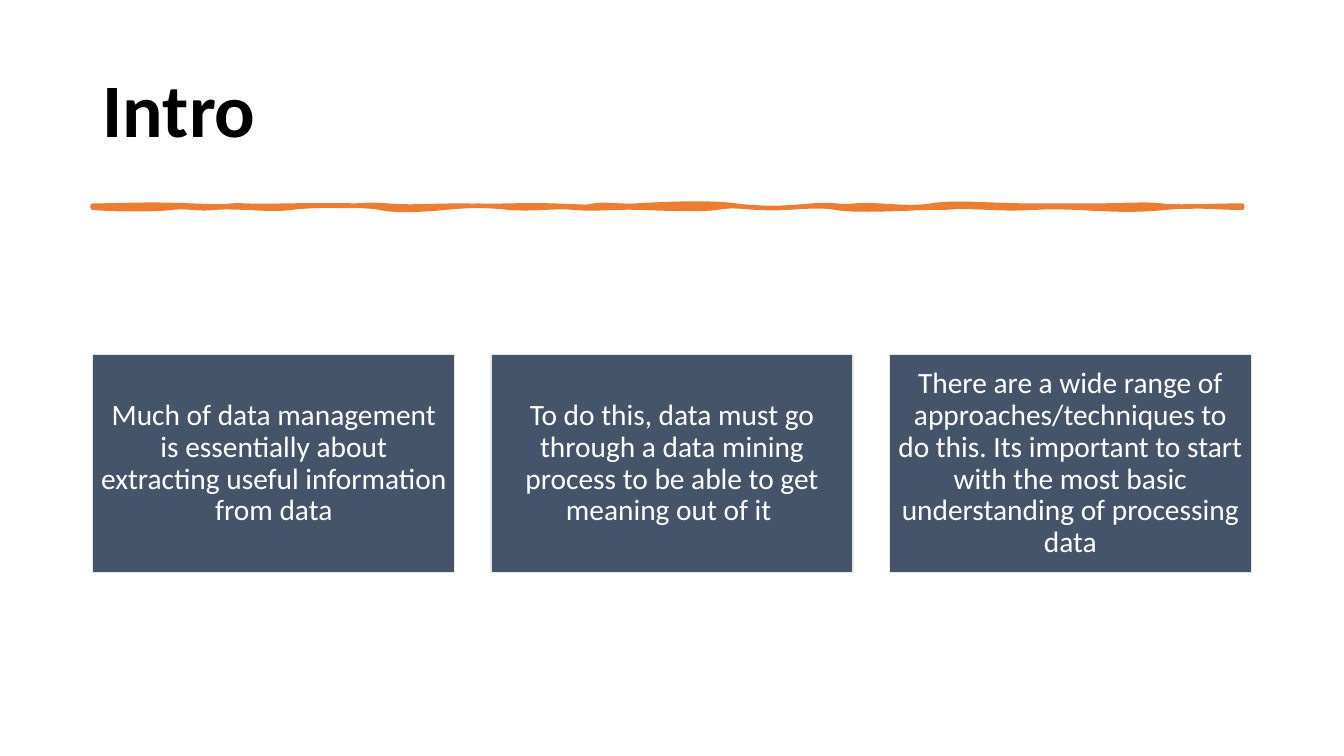
from lxml.etree import SubElement
from pptx import Presentation
from pptx.dml.color import RGBColor
from pptx.enum.shapes import MSO_SHAPE as SHAPE
from pptx.enum.text import MSO_ANCHOR as ANCHOR, MSO_AUTO_SIZE as AUTO, PP_ALIGN as ALIGN
from pptx.oxml.ns import qn
from pptx.util import Pt

PX = 9144  # 100 px to the inch
FONT = "Calibri"
COLORS = {"title": "000000", "rule": "ED7D31", "box": "44546A",
          "edge": "E7E6E6", "text": "FFFFFF"}


def rgb(name):
    return RGBColor.from_string(COLORS[name])


def write(tf, text, size, color, align, bold=False):
    tf.word_wrap = True
    tf.auto_size = AUTO.NONE
    tf.vertical_anchor = ANCHOR.MIDDLE
    p = tf.paragraphs[0]
    p.alignment = align
    p.line_spacing = 0.9
    r = p.add_run()
    r.text = text
    r.font.name = FONT
    r.font.size = Pt(size)
    r.font.bold = bold
    r.font.color.rgb = rgb(color)


prs = Presentation()
prs.slide_width, prs.slide_height = 1333 * PX, 750 * PX
slide = prs.slides.add_slide(prs.slide_layouts[5])

# Title
title = slide.shapes.title
title.left, title.top, title.width, title.height = 92 * PX, 40 * PX, 1150 * PX, 145 * PX
write(title.text_frame, "Intro", 54, "title", ALIGN.LEFT, bold=True)

# Hand-drawn rule: each row holds two Bezier control points and an end point
rule_left, rule_top = 92, 204
rule_curves = [
    (119, 204, 144, 202, 190, 204), (237, 206, 220, 203, 244, 204),
    (267, 205, 303, 203, 331, 204), (360, 205, 359, 202, 384, 204),
    (410, 206, 423, 204, 460, 204), (498, 205, 514, 203, 548, 204),
    (581, 205, 581, 206, 589, 204), (598, 202, 615, 205, 631, 204),
    (647, 203, 701, 200, 730, 204), (759, 208, 781, 206, 806, 204),
    (831, 202, 827, 206, 848, 204), (868, 202, 901, 208, 924, 204),
    (947, 200, 982, 204, 1023, 204), (1063, 204, 1063, 204, 1087, 204),
    (1112, 204, 1136, 202, 1152, 204), (1168, 206, 1203, 204, 1232, 204),
    (1232, 205, 1232, 205, 1232, 206), (1205, 206, 1189, 203, 1156, 206),
    (1122, 209, 1110, 208, 1068, 206), (1027, 204, 1023, 208, 981, 206),
    (939, 204, 952, 206, 928, 206), (904, 206, 851, 210, 829, 206),
    (806, 202, 782, 208, 753, 206), (724, 204, 725, 204, 711, 206),
    (698, 208, 661, 207, 635, 206), (609, 205, 590, 208, 570, 206),
    (551, 204, 528, 208, 506, 206), (483, 204, 473, 203, 441, 206),
    (409, 209, 390, 209, 377, 206), (363, 203, 310, 203, 289, 206),
    (268, 209, 235, 204, 213, 206), (192, 208, 189, 204, 171, 206),
    (154, 208, 114, 208, 92, 206), (92, 205, 92, 205, 92, 204),
]
builder = slide.shapes.build_freeform(rule_left, rule_top, scale=PX)
builder.add_line_segments([curve[4:] for curve in rule_curves], close=True)
rule = builder.convert_to_shape()
segments = list(rule.element.iter(qn("a:lnTo")))
for segment, curve in zip(segments, rule_curves):
    segment.tag = qn("a:cubicBezTo")
    segment.remove(segment[0])
    for x, y in zip(curve[::2], curve[1::2]):
        SubElement(segment, qn("a:pt"), x=str(x - rule_left), y=str(y - rule_top))
rule.shadow.inherit = False
rule.fill.solid()
rule.fill.fore_color.rgb = rgb("rule")
rule.line.color.rgb = rgb("rule")
rule.line.width = Pt(3.25)

# Three statement boxes
statements = [
    "Much of data management is essentially about extracting useful information from data",
    "To do this, data must go through a data mining process to be able to get meaning out of it ",
    "There are a wide range of approaches/techniques to do this. Its important to start "
    "with the most basic understanding of processing data",
]
box_left, box_top, box_width, box_height, box_pitch, inset = 92, 352, 359, 216, 395, 8
for i, statement in enumerate(statements):
    sp = slide.shapes.add_shape(SHAPE.RECTANGLE, (box_left + i * box_pitch) * PX,
                                box_top * PX, box_width * PX, box_height * PX)
    sp.shadow.inherit = False
    sp.fill.solid()
    sp.fill.fore_color.rgb = rgb("box")
    sp.line.color.rgb = rgb("edge")
    sp.line.width = Pt(1)
    tf = sp.text_frame
    tf.margin_left = tf.margin_right = tf.margin_top = tf.margin_bottom = inset * PX
    write(tf, statement, 21, "text", ALIGN.CENTER)

prs.save("out.pptx")
